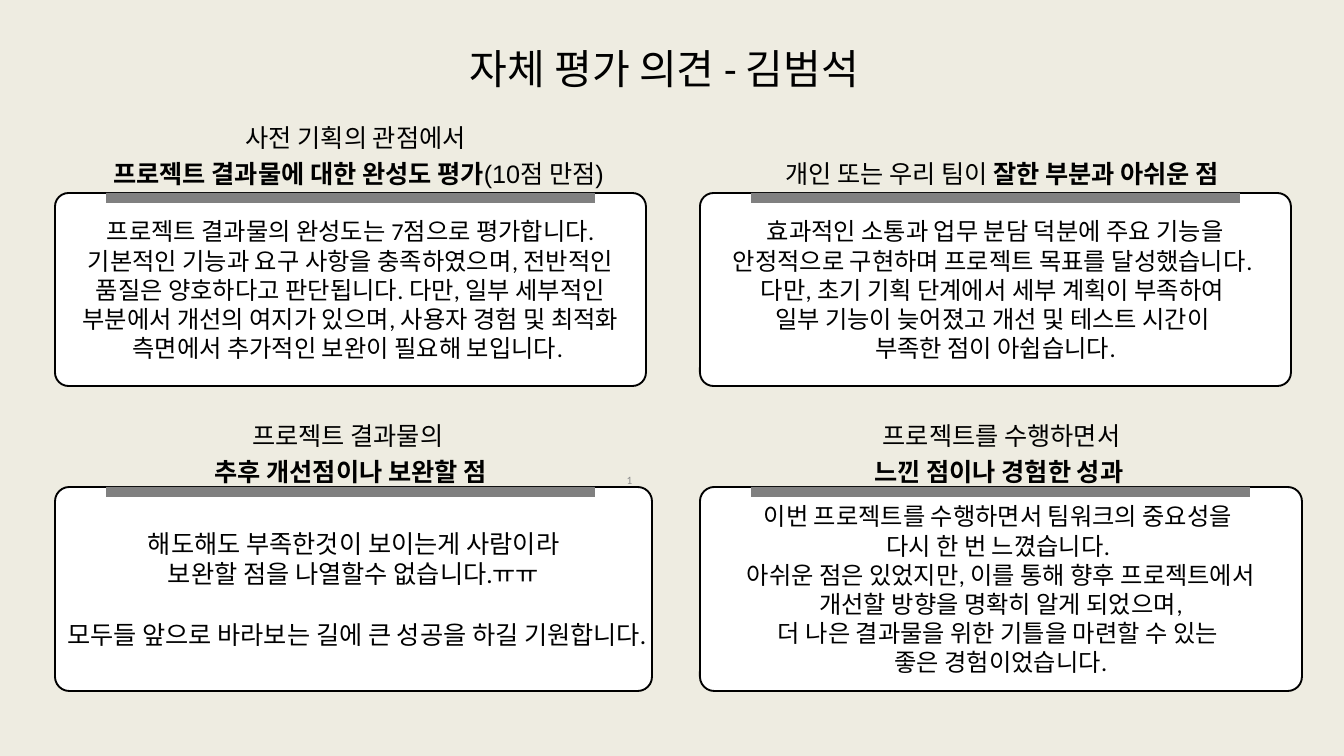
from pptx import Presentation
from pptx.dml.color import RGBColor
from pptx.enum.shapes import MSO_SHAPE
from pptx.enum.text import MSO_ANCHOR, PP_ALIGN
from pptx.util import Pt

PX = 18288000 / 1344
INK, PAPER, BAR, BACKDROP, MUTED = "000000", "FFFFFF", "808080", "EEECE1", "8C8C8C"

PANELS = [
    {
        "box": (55, 193, 591, 193), "bar": 489, "heading": (25, -80, 557, 79),
        "title": [[("사전 기획의 관점에서 ", False)],
                  [("프로젝트 결과물에 대한 완성도 평가", True), ("(10점 만점)", False)]],
        "size": 26,
        "body": ["프로젝트 결과물의 완성도는 7점으로 평가합니다. 기본적인 기능과 요구 사항을 "
                 "충족하였으며, 전반적인 품질은 양호하다고 판단됩니다. 다만, 일부 세부적인 부분에서 "
                 "개선의 여지가 있으며, 사용자 경험 및 최적화 측면에서 추가적인 보완이 필요해 보입니다. "],
    },
    {
        "box": (55, 487, 597, 204), "bar": 489, "heading": (41, -76, 509, 79),
        "title": [[("프로젝트 결과물의 ", False)], [("추후 개선점이나 보완할 점", True)]],
        "size": 27, "gap_before": 2,
        "body": ["해도해도 부족한것이 보이는게 사람이라",
                 "보완할 점을 나열할수 없습니다.ㅠㅠ",
                 "모두들 앞으로 바라보는 길에 큰 성공을 하길 기원합니다."],
    },
    {
        "box": (700, 487, 602, 204), "bar": 499, "heading": (47, -76, 509, 79),
        "title": [[("프로젝트를 수행하면서", False)], [("느낀 점이나 경험한 성과", True), (" ", False)]],
        "size": 26,
        "body": ["이번 프로젝트를 수행하면서 팀워크의 중요성을 ",
                 "다시 한 번 느꼈습니다. ",
                 "아쉬운 점은 있었지만, 이를 통해 향후 프로젝트에서 개선할 방향을 명확히 알게 되었으며,",
                 "더 나은 결과물을 위한 기틀을 마련할 수 있는 ",
                 "좋은 경험이었습니다."],
    },
    {
        "box": (700, 193, 591, 193), "bar": 489, "heading": (27, -41, 550, 40),
        "title": [[("개인 또는 우리 팀이 ", False), ("잘한 부분과 아쉬운 점", True)]],
        "size": 26, "spacing": 1.1,
        "body": ["효과적인 소통과 업무 분담 덕분에 주요 기능을 안정적으로 구현하며 프로젝트 목표를 달성했습니다. ",
                 "다만, 초기 기획 단계에서 세부 계획이 부족하여 ",
                 "일부 기능이 늦어졌고 개선 및 테스트 시간이 ",
                 "부족한 점이 아쉽습니다."],
    },
]


def px(*lengths):
    """Turn pixel lengths into EMU."""
    return [round(length * PX) for length in lengths]


def paint(color_format, hex_color):
    """Set a colour from a hex string."""
    color_format.rgb = RGBColor.from_string(hex_color)


def fill_solid(fill, hex_color):
    """Give a fill one solid colour."""
    fill.solid()
    paint(fill.fore_color, hex_color)


def write(frame, paragraphs, size, font="Calibri", color=INK, align=PP_ALIGN.CENTER,
          anchor=MSO_ANCHOR.MIDDLE, spacing=None):
    """Write paragraphs, each a list of (text, bold) spans, into a text frame."""
    frame.word_wrap = True
    frame.vertical_anchor = anchor
    for index, spans in enumerate(paragraphs):
        para = frame.add_paragraph() if index else frame.paragraphs[0]
        para.alignment = align
        para.line_spacing = spacing
        para.font.size = Pt(size)
        para.font.name = font
        paint(para.font.color, color)
        for text, bold in spans:
            span = para.add_run()
            span.text = text
            span.font.bold = bold


def add_label(page, box, paragraphs, size, **style):
    """Add a text box."""
    label = page.shapes.add_textbox(*px(*box))
    write(label.text_frame, paragraphs, size, **style)


def add_block(page, kind, box, hex_color):
    """Add a filled shape without outline or shadow."""
    block = page.shapes.add_shape(kind, *px(*box))
    block.shadow.inherit = False
    fill_solid(block.fill, hex_color)
    block.line.fill.background()
    return block


def add_panel(page, panel):
    """Add a rounded card with its top bar and the heading above it."""
    left, top, width, height = panel["box"]
    card = add_block(page, MSO_SHAPE.ROUNDED_RECTANGLE, panel["box"], PAPER)
    card.adjustments[0] = 0.07
    card.line.width = Pt(2)
    paint(card.line.color, INK)
    write(card.text_frame, [[(text, False)] for text in panel["body"]], panel["size"])
    if "gap_before" in panel:
        card.text_frame.paragraphs[panel["gap_before"]].space_before = Pt(33)
    add_block(page, MSO_SHAPE.RECTANGLE, (left + 51, top, panel["bar"], 10), BAR)
    shift_x, shift_y, heading_width, heading_height = panel["heading"]
    add_label(page, (left + shift_x, top + shift_y, heading_width, heading_height),
              panel["title"], 27, font="Arial", anchor=MSO_ANCHOR.TOP,
              spacing=panel.get("spacing", 1.2))


def main():
    """Build the self-evaluation slide."""
    deck = Presentation()
    deck.slide_width, deck.slide_height = px(1344, 756)
    page = deck.slides.add_slide(deck.slide_layouts[6])
    fill_solid(page.background.fill, BACKDROP)
    add_label(page, (46, 40, 1237, 57), [[("자체 평가 의견 - 김범석", False)]], 44)
    add_label(page, (482, 467, 157, 27), [[("1", False)]], 12, color=MUTED, align=PP_ALIGN.RIGHT)
    for panel in PANELS:
        add_panel(page, panel)
    deck.save("out.pptx")


if __name__ == "__main__":
    main()
